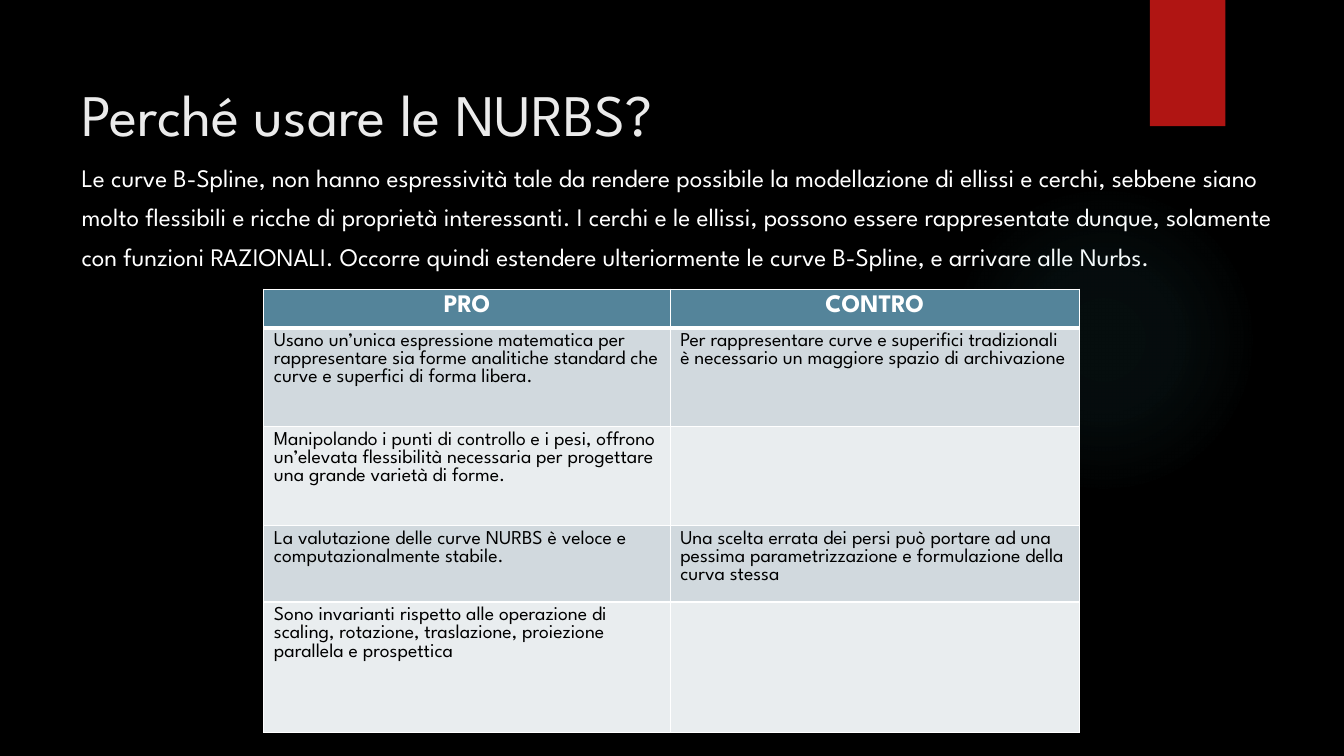
from lxml.etree import SubElement
from pptx import Presentation
from pptx.dml.color import RGBColor
from pptx.enum.shapes import MSO_SHAPE
from pptx.enum.text import MSO_ANCHOR, MSO_AUTO_SIZE, PP_ALIGN
from pptx.oxml import parse_xml
from pptx.oxml.ns import nsdecls, qn
from pptx.util import Cm, Pt

COLORS = {
    "background": "000000",
    "glow": "50B9C1",
    "ribbon": "B01513",
    "title": "EBEBEB",
    "light": "FFFFFF",
    "dark": "000000",
    "header": "54849A",
    "odd": "D1D9DE",
    "even": "E9EDEF",
}

INTRODUCTION = (
    "Le curve B-Spline, non hanno espressività tale da rendere possibile la "
    "modellazione di ellissi e cerchi, sebbene siano molto flessibili e ricche di "
    "proprietà interessanti. I cerchi e le ellissi, possono essere rappresentate "
    "dunque, solamente con funzioni RAZIONALI. Occorre quindi estendere "
    "ulteriormente le curve B-Spline, e arrivare alle Nurbs."
)

COMPARISON = [
    ("PRO", "CONTRO"),
    (
        "Usano un’unica espressione matematica per rappresentare sia forme "
        "analitiche standard che curve e superfici di forma libera.",
        "Per rappresentare curve e superifici tradizionali è necessario un "
        "maggiore spazio di archivazione",
    ),
    (
        "Manipolando i punti di controllo e i pesi, offrono un’elevata "
        "flessibilità necessaria per progettare una grande varietà di forme.",
        "",
    ),
    (
        "La valutazione delle curve NURBS è veloce e computazionalmente stabile.",
        "Una scelta errata dei persi può portare ad una pessima "
        "parametrizzazione e formulazione della curva stessa",
    ),
    (
        "Sono invarianti rispetto alle operazione di scaling, rotazione, "
        "traslazione, proiezione parallela e prospettica",
        "",
    ),
]


def color(name):
    return RGBColor.from_string(COLORS[name])


def write_text(frame, text, font, size, ink, bold=False, align=PP_ALIGN.LEFT, spacing=None):
    para = frame.paragraphs[0]
    para.alignment = align
    para.line_spacing = spacing
    para.font.size = Pt(size)
    if text:
        span = para.add_run()
        span.text = text
        span.font.name = font
        span.font.size = Pt(size)
        span.font.bold = bold
        span.font.color.rgb = color(ink)
    return para


class SlideBuilder:
    font = "League Spartan"
    spacing = 1.32

    def __init__(self, deck):
        self.page = deck.slides.add_slide(deck.slide_layouts[1])
        fill = self.page.background.fill
        fill.solid()
        fill.fore_color.rgb = color("background")

    def shape(self, kind, left, top, width, height):
        box = self.page.shapes.add_shape(kind, Cm(left), Cm(top), Cm(width), Cm(height))
        box.shadow.inherit = False
        box.line.fill.background()
        return box

    def glow(self, left, top, size, stops):
        circle = self.shape(MSO_SHAPE.OVAL, left, top, size, size)
        circle.fill.background()
        stop_xml = "".join(
            f'<a:gs pos="{position * 1000}"><a:srgbClr val="{COLORS["glow"]}">'
            f'<a:alpha val="{alpha * 1000}"/></a:srgbClr></a:gs>'
            for position, alpha in stops
        )
        gradient = parse_xml(
            f'<a:gradFill {nsdecls("a")}><a:gsLst>{stop_xml}</a:gsLst><a:path path="circle">'
            '<a:fillToRect l="50000" t="50000" r="50000" b="50000"/></a:path></a:gradFill>'
        )
        properties = circle.element.spPr
        properties.replace(properties.find(qn("a:noFill")), gradient)

    def ribbon(self, left, top, width, height):
        box = self.shape(MSO_SHAPE.RECTANGLE, left, top, width, height)
        box.fill.solid()
        box.fill.fore_color.rgb = color("ribbon")
        box.element.spPr.find(qn("a:effectLst")).append(parse_xml(
            f'<a:outerShdw {nsdecls("a")} blurRad="{Pt(3)}" dist="{Pt(2)}" dir="5400000">'
            '<a:srgbClr val="000000"><a:alpha val="45000"/></a:srgbClr></a:outerShdw>'
        ))

    def placeholder(self, index, text, left, top, width, height, size, ink):
        box = self.page.placeholders[index]
        box.left, box.top, box.width, box.height = map(Cm, (left, top, width, height))
        frame = box.text_frame
        frame.word_wrap = True
        frame.auto_size = MSO_AUTO_SIZE.NONE
        frame.vertical_anchor = MSO_ANCHOR.TOP
        return write_text(frame, text, self.font, size, ink, spacing=self.spacing)

    def title(self, text, *place):
        self.placeholder(0, text, *place, size=42, ink="title")

    def body(self, text, *place):
        para = self.placeholder(1, text, *place, size=18, ink="light")
        para.space_before = Pt(10)
        properties = para._p.get_or_add_pPr()
        properties.set("marL", "0")
        properties.set("indent", "0")
        SubElement(properties, qn("a:buNone"))
        properties.append(properties.find(qn("a:defRPr")))

    def borders(self, cell, bottom):
        properties = cell._tc.get_or_add_tcPr()
        for index, (side, width) in enumerate(zip("LRTB", (1, 1, 1, bottom))):
            properties.insert(index, parse_xml(
                f'<a:ln{side} {nsdecls("a")} w="{Pt(width)}"><a:solidFill>'
                f'<a:srgbClr val="{COLORS["light"]}"/></a:solidFill></a:ln{side}>'
            ))

    def table(self, rows, left, top, widths, heights):
        grid = self.page.shapes.add_table(
            len(rows), len(widths), Cm(left), Cm(top), Cm(sum(widths)), Cm(sum(heights))
        ).table
        for column, width in zip(grid.columns, widths):
            column.width = Cm(width)
        for number, (row, texts, height) in enumerate(zip(grid.rows, rows, heights)):
            row.height = Cm(height)
            header = number == 0
            band = "header" if header else ("even", "odd")[number % 2]
            for cell, text in zip(row.cells, texts):
                cell.fill.solid()
                cell.fill.fore_color.rgb = color(band)
                self.borders(cell, bottom=3 if header else 1)
                write_text(
                    cell.text_frame, text, self.font,
                    size=18 if header else 14,
                    ink="light" if header else "dark",
                    bold=header,
                    align=PP_ALIGN.CENTER if header else PP_ALIGN.LEFT,
                )


def main():
    deck = Presentation()
    deck.slide_width, deck.slide_height = Cm(33.87), Cm(19.05)
    builder = SlideBuilder(deck)
    builder.glow(23.9, 4.65, 7.82, [(0, 7), (36, 6), (69, 0)])
    builder.ribbon(28.98, 0, 1.9, 3.18)
    builder.title("Perché usare le NURBS?", 1.8, 1.27, 26.14, 3.89)
    builder.body(INTRODUCTION, 1.8, 3.71, 31.22, 11.66)
    builder.table(COMPARISON, 6.65, 7.29, (10.24, 10.31), (0.97, 2.49, 2.49, 1.93, 3.28))
    deck.save("out.pptx")


if __name__ == "__main__":
    main()
